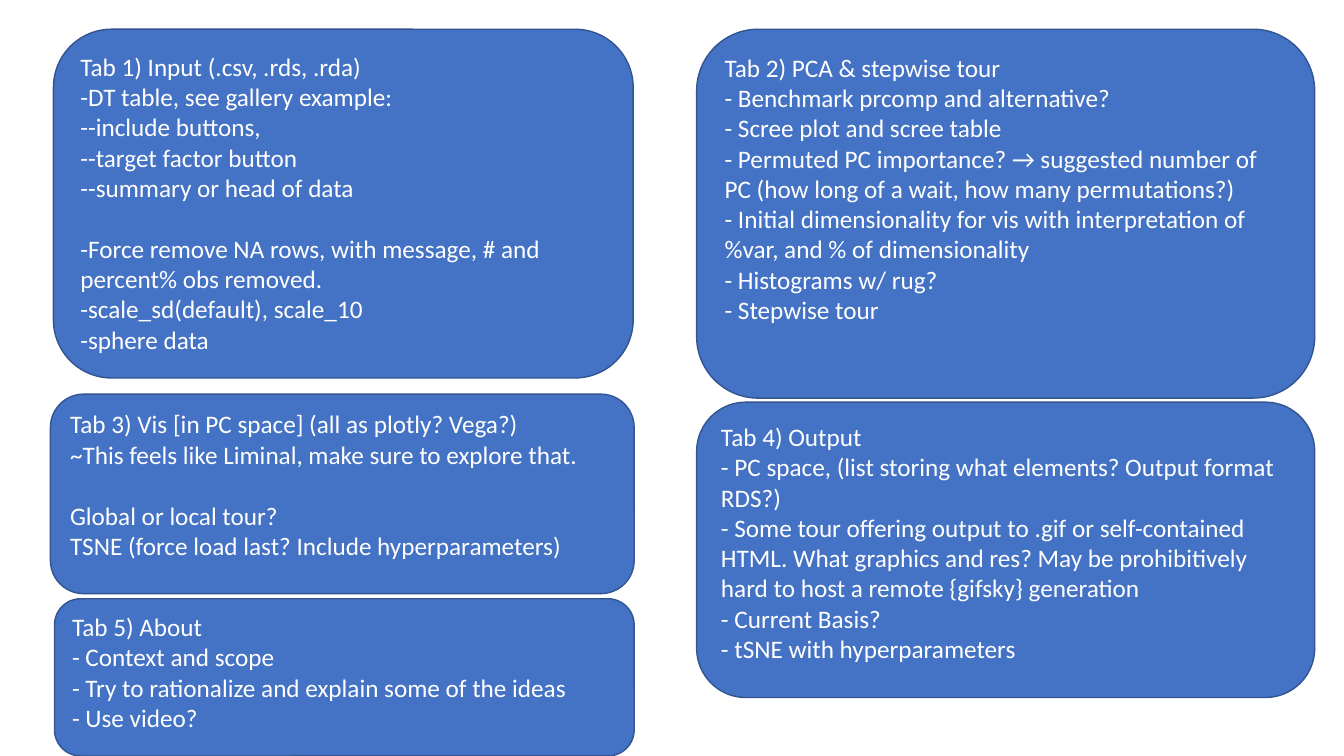
from pptx import Presentation
from pptx import util as u
from pptx.dml.color import RGBColor
from pptx.enum import shapes, text

FILL, EDGE, INK = "4472C4", "325491", "FFFFFF"
FONT, SIZE = "Calibri", 18
GAP = 22  # points, one line of text

# Each tab: left, top, width, height, then groups of lines set apart by a gap
TABS = [
    ((0.53, 0.29, 5.75, 3.46), [
        ["Tab 1) Input (.csv, .rds, .rda)",
         "-DT table, see gallery example:",
         "--include buttons,",
         "--target factor button",
         "--summary or head of data"],
        ["-Force remove NA rows, with message, # and percent% obs removed.",
         "-scale_sd(default), scale_10",
         "-sphere data"]]),
    ((6.91, 0.29, 6.13, 3.66), [
        ["Tab 2) PCA & stepwise tour",
         "- Benchmark prcomp and alternative?",
         "- Scree plot and scree table",
         "- Permuted PC importance? → suggested number of PC "
         "(how long of a wait, how many permutations?)",
         "- Initial dimensionality for vis with interpretation of %var, "
         "and % of dimensionality",
         "- Histograms w/ rug?",
         "- Stepwise tour"]]),
    ((0.5, 3.91, 5.79, 1.98), [
        ["Tab 3) Vis [in PC space] (all as plotly? Vega?)",
         "~This feels like Liminal, make sure to explore that."],
        ["Global or local tour?",
         "TSNE (force load last? Include hyperparameters)"]]),
    ((6.91, 3.99, 6.13, 2.93), [
        ["Tab 4) Output",
         "- PC space, (list storing what elements? Output format RDS?)",
         "- Some tour offering output to .gif or self-contained HTML. "
         "What graphics and res? May be prohibitively hard to host a remote "
         "{gifsky} generation",
         "- Current Basis?",
         "- tSNE with hyperparameters"]]),
    ((0.54, 5.94, 5.75, 1.56), [
        ["Tab 5) About",
         "- Context and scope",
         "- Try to rationalize and explain some of the ideas",
         "- Use video?"]]),
]


def color(code):
    return RGBColor.from_string(code)


def add_card(slide, place):
    """Add an empty rounded box and return its text frame."""
    card = slide.shapes.add_shape(shapes.MSO_SHAPE.ROUNDED_RECTANGLE,
                                  *map(u.Inches, place))
    card.shadow.inherit = False
    card.fill.solid()
    card.fill.fore_color.rgb = color(FILL)
    card.line.color.rgb = color(EDGE)
    card.line.width = u.Pt(1)
    frame = card.text_frame
    frame.word_wrap = True
    frame.vertical_anchor = text.MSO_ANCHOR.TOP
    return frame


def add_line(para, words, gap):
    para.alignment = text.PP_ALIGN.LEFT
    para.space_before = u.Pt(gap)
    run = para.add_run()
    run.text = words
    run.font.name = FONT
    run.font.size = u.Pt(SIZE)
    run.font.color.rgb = color(INK)


def main():
    deck = Presentation()
    deck.slide_width, deck.slide_height = u.Inches(13.33), u.Inches(7.5)
    slide = deck.slides.add_slide(deck.slide_layouts[6])
    for place, groups in TABS:
        frame = add_card(slide, place)
        for g, group in enumerate(groups):
            for n, words in enumerate(group):
                first = g == n == 0
                para = frame.paragraphs[0] if first else frame.add_paragraph()
                add_line(para, words, GAP if g and n == 0 else 0)
    deck.save("out.pptx")


if __name__ == "__main__":
    main()
